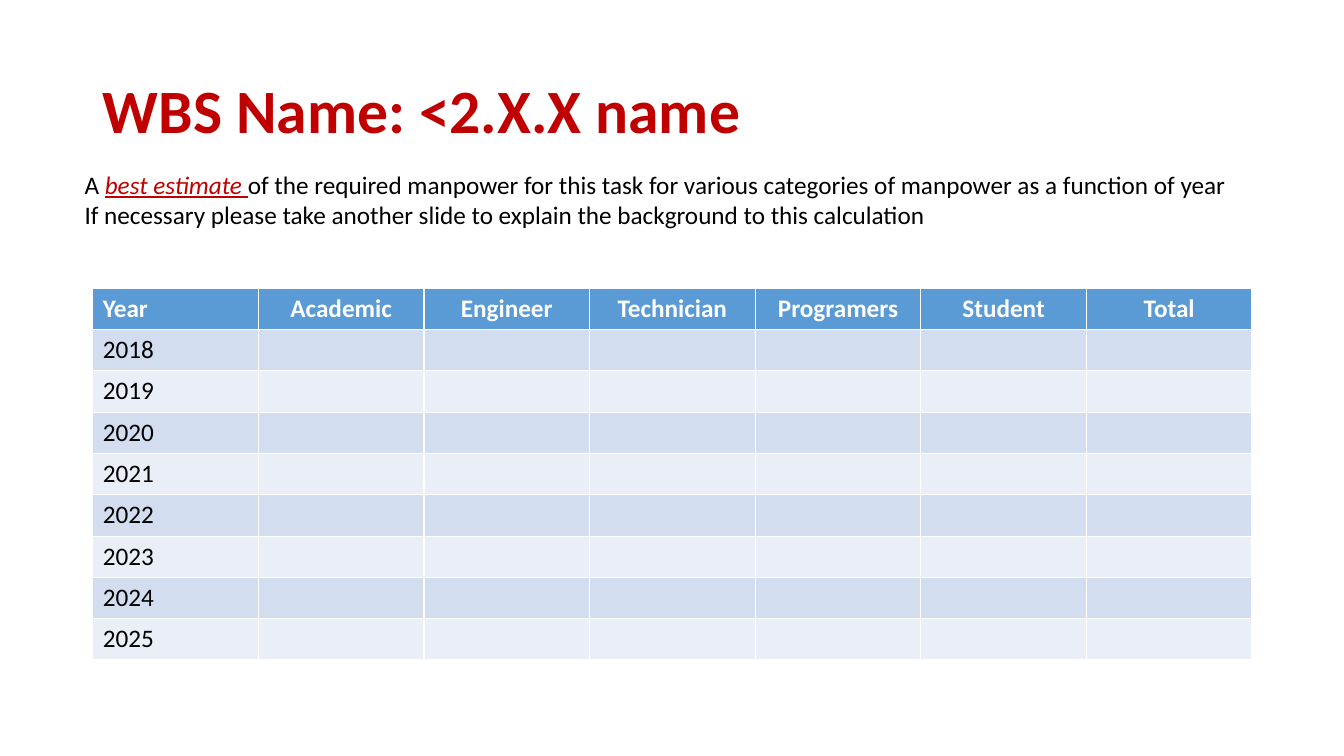
from pptx import Presentation
from pptx import util as u
from pptx.dml.color import RGBColor
from pptx.enum import text

HEADINGS = ["Year", "Academic", "Engineer", "Technician", "Programers", "Student", "Total"]
YEARS = range(2018, 2026)
ESTIMATE = [
    [("A ", False), ("best estimate ", True),
     ("of the required manpower for this task for various categories of manpower"
      " as a function of year", False)],
    [("If necessary please take another slide to explain the background"
      " to this calculation", False)],
]


def colour(value):
    return RGBColor.from_string(value)


class ManpowerPage:
    FONT = "Calibri"
    RED, BLACK, WHITE = "C00000", "000000", "FFFFFF"
    HEADER, BANDS = "5B9BD5", ("D2DEEF", "EAEFF7")

    def __init__(self, deck):
        self.page = deck.slides.add_slide(deck.slide_layouts[5])

    def style(self, font, size, hue, bold=False):
        font.name, font.size, font.bold = self.FONT, u.Pt(size), bold
        font.color.rgb = colour(hue)

    def title(self, wording, left, top, width, height):
        box = self.page.shapes.title
        box.left, box.top = u.Inches(left), u.Inches(top)
        box.width, box.height = u.Inches(width), u.Inches(height)
        box.text_frame.text = wording
        box.text_frame.vertical_anchor = text.MSO_ANCHOR.MIDDLE
        para = box.text_frame.paragraphs[0]
        para.alignment = text.PP_ALIGN.LEFT
        para.line_spacing = 0.9
        self.style(para.font, 44, self.RED, bold=True)

    def table(self, headings, years, left, top, width, row_height):
        rows = [headings] + [[str(year)] for year in years]
        grid = self.page.shapes.add_table(
            len(rows), len(headings), u.Inches(left), u.Inches(top),
            u.Inches(width), u.Inches(row_height * len(rows))).table
        for r, row in enumerate(rows):
            fill = self.BANDS[(r - 1) % 2] if r else self.HEADER
            for c in range(len(headings)):
                cell = grid.cell(r, c)
                cell.fill.solid()
                cell.fill.fore_color.rgb = colour(fill)
                if c < len(row):
                    cell.text = row[c]
                para = cell.text_frame.paragraphs[0]
                para.alignment = text.PP_ALIGN.CENTER if c else text.PP_ALIGN.LEFT
                self.style(para.font, 18, self.BLACK if r else self.WHITE, bold=r == 0)

    def note(self, lines, left, top, width, height):
        """Add a text box from lines of (wording, emphasised) pairs."""
        box = self.page.shapes.add_textbox(
            u.Inches(left), u.Inches(top), u.Inches(width), u.Inches(height))
        frame = box.text_frame
        frame.word_wrap = False
        frame.auto_size = text.MSO_AUTO_SIZE.SHAPE_TO_FIT_TEXT
        for number, line in enumerate(lines):
            para = frame.add_paragraph() if number else frame.paragraphs[0]
            para.alignment = text.PP_ALIGN.LEFT
            self.style(para.font, 18, self.BLACK)
            for wording, emphasised in line:
                span = para.add_run()
                span.text = wording
                self.style(span.font, 18, self.RED if emphasised else self.BLACK)
                span.font.italic = span.font.underline = emphasised


def main():
    deck = Presentation()
    deck.slide_width, deck.slide_height = u.Inches(13.33), u.Inches(7.5)
    page = ManpowerPage(deck)
    page.title("WBS Name: <2.X.X name", 0.92, 0.4, 11.5, 1.45)
    page.table(HEADINGS, YEARS, 0.92, 2.86, 11.5, 0.41)
    page.note(ESTIMATE, 0.74, 1.63, 11.67, 0.71)
    deck.save("out.pptx")


if __name__ == "__main__":
    main()
